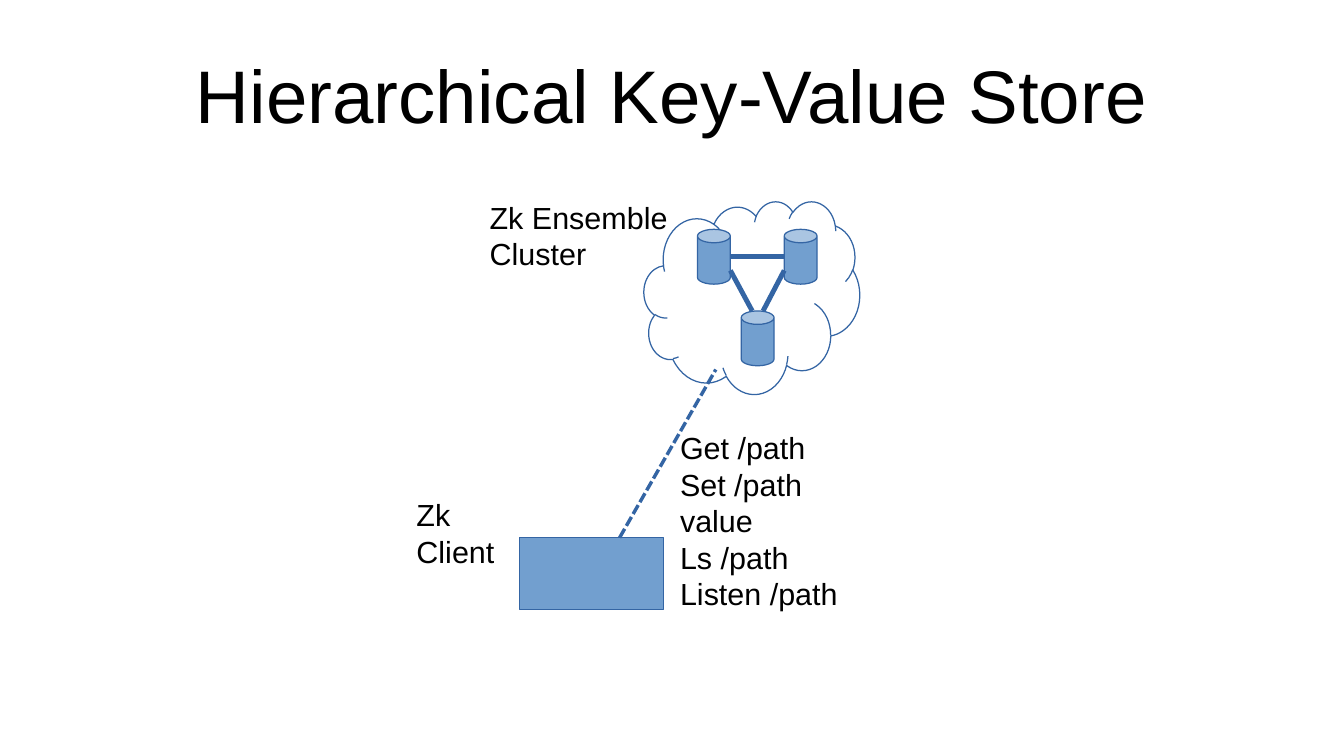
from dataclasses import dataclass

from lxml import etree
from pptx import Presentation
from pptx import util as u
from pptx.dml.color import RGBColor
from pptx.enum import dml, shapes, text
from pptx.oxml import ns

BLUE = RGBColor(0x72, 0x9F, 0xCF)
DARK_BLUE = RGBColor(0x34, 0x65, 0xA4)
BLACK = RGBColor(0, 0, 0)
FONT = "Arial"
HAIRLINE = 0


@dataclass(frozen=True)
class Box:
    """A rectangle on the slide, in points."""
    left: float
    top: float
    width: float
    height: float

    @property
    def right(self) -> float:
        return self.left + self.width

    @property
    def center(self) -> float:
        return self.left + self.width / 2

    def lengths(self) -> list[u.Length]:
        return [u.Pt(v) for v in (self.left, self.top, self.width, self.height)]


@dataclass(frozen=True)
class Label:
    box: Box
    lines: list[str]


@dataclass(frozen=True)
class Link:
    x1: float
    y1: float
    x2: float
    y2: float
    weight: float = 2.9


def format_text(frame, lines: list[str], size: float) -> None:
    frame.word_wrap = True
    for i, line in enumerate(lines):
        paragraph = frame.paragraphs[0] if i == 0 else frame.add_paragraph()
        paragraph.text = line
        paragraph.font.name = FONT
        paragraph.font.size = u.Pt(size)
        paragraph.font.color.rgb = BLACK


def add_node(slide, kind: shapes.MSO_SHAPE, box: Box, fill: RGBColor | None = BLUE):
    node = slide.shapes.add_shape(kind, *box.lengths())
    node.shadow.inherit = False
    if fill is None:
        node.fill.background()
    else:
        node.fill.solid()
        node.fill.fore_color.rgb = fill
    node.line.color.rgb = DARK_BLUE
    node.line.width = u.Pt(HAIRLINE)
    return node


def add_link(slide, link: Link):
    ends = [u.Pt(v) for v in (link.x1, link.y1, link.x2, link.y2)]
    line = slide.shapes.add_connector(shapes.MSO_CONNECTOR.STRAIGHT, *ends)
    line.line.color.rgb = DARK_BLUE
    line.line.width = u.Pt(link.weight)
    etree.SubElement(line._element.spPr, ns.qn("a:effectLst"))
    return line


def add_label(slide, label: Label) -> None:
    frame = slide.shapes.add_textbox(*label.box.lengths()).text_frame
    frame.auto_size = text.MSO_AUTO_SIZE.SHAPE_TO_FIT_TEXT
    format_text(frame, label.lines, 18)


def main() -> None:
    deck = Presentation()
    deck.slide_width, deck.slide_height = u.Pt(793.44), u.Pt(446.4)
    slide = deck.slides.add_slide(deck.slide_layouts[5])

    # Title
    title = slide.shapes.title
    title.left, title.top, title.width, title.height = Box(39.6, 18, 714.2, 74.9).lengths()
    frame = title.text_frame
    frame.margin_left = frame.margin_top = frame.margin_right = frame.margin_bottom = 0
    frame.vertical_anchor = text.MSO_ANCHOR.MIDDLE
    format_text(frame, ["Hierarchical Key-Value Store"], 44)
    frame.paragraphs[0].alignment = text.PP_ALIGN.CENTER

    # Ensemble: three servers in a cloud
    add_node(slide, shapes.MSO_SHAPE.CLOUD, Box(380.2, 118.8, 127.4, 113.8), None)
    server_width, server_height = 19.4, 32.4
    left_server, right_server, lower_server = servers = [
        Box(left, top, server_width, server_height)
        for left, top in ((411.8, 135.4), (463, 135.4), (437.6, 183.6))
    ]
    for server in servers:
        add_node(slide, shapes.MSO_SHAPE.CAN, server).adjustments[0] = 0.41

    # Links between the servers
    middle = left_server.top + server_height / 2
    low = left_server.top + server_height * 0.75
    spread = 3.2
    for link in (
        Link(left_server.right, middle, right_server.left, middle),
        Link(left_server.right, low, lower_server.center - spread, lower_server.top),
        Link(right_server.left, low, lower_server.center + spread, lower_server.top),
    ):
        add_link(slide, link)

    # Client and its session with the ensemble
    client = Box(306.7, 317.5, 85, 42.5)
    add_node(slide, shapes.MSO_SHAPE.RECTANGLE, client)
    session = add_link(slide, Link(365.8, client.top, 422.6, 218.2, HAIRLINE))
    session.line.dash_style = dml.MSO_LINE.SQUARE_DOT

    # Labels
    for label in (
        Label(Box(394.4, 249.8, 133.9, 87.8),
              ["Get /path", "Set /path value", "Ls /path", "Listen /path"]),
        Label(Box(282, 113.8, 123.8, 47.5), ["Zk Ensemble", "Cluster"]),
        Label(Box(238.8, 289.4, 85, 27.4), ["Zk Client"]),
    ):
        add_label(slide, label)

    deck.save("out.pptx")


if __name__ == "__main__":
    main()
